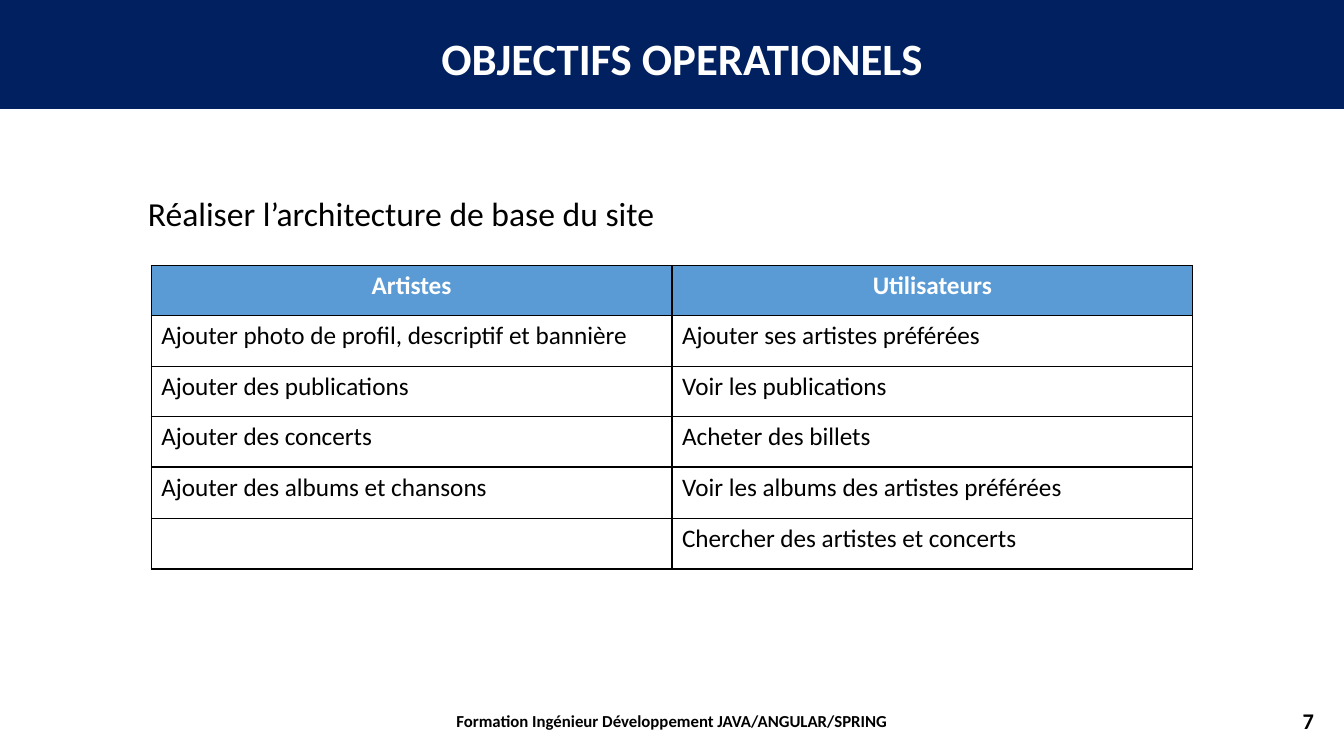
"""Build the slide on operational objectives for artists and users."""
from pptx import Presentation
from pptx.dml.color import RGBColor
from pptx.enum.shapes import MSO_SHAPE
from pptx.enum.text import MSO_ANCHOR, PP_ALIGN
from pptx.oxml import parse_xml
from pptx.oxml.ns import nsdecls
from pptx.util import Pt

NAVY = RGBColor(0x00, 0x20, 0x60)
BLUE = RGBColor(0x5B, 0x9B, 0xD5)
WHITE = RGBColor(0xFF, 0xFF, 0xFF)
BLACK = RGBColor(0x00, 0x00, 0x00)

ROWS = [
    ("Artistes", "Utilisateurs"),
    ("Ajouter photo de profil, descriptif et bannière", "Ajouter ses artistes préférées"),
    ("Ajouter des publications", "Voir les publications"),
    ("Ajouter des concerts", "Acheter des billets"),
    ("Ajouter des albums et chansons", "Voir les albums des artistes préférées"),
    ("", "Chercher des artistes et concerts"),
]


def write(frame, text, size=18, color=BLACK, bold=False, align=PP_ALIGN.LEFT, space=1.0):
    frame.word_wrap = True
    line = frame.paragraphs[0]
    line.alignment = align
    line.line_spacing = space
    line.font.size = Pt(size)
    if text:
        run = line.add_run()
        run.text = text
        font = run.font
        font.name, font.size, font.bold = "Calibri", Pt(size), bold
        font.color.rgb = color


def label(slide, box, text, anchor=MSO_ANCHOR.MIDDLE, **style):
    frame = slide.shapes.add_textbox(*map(Pt, box)).text_frame
    frame.vertical_anchor = anchor
    write(frame, text, **style)


def header(slide, box, title):
    left, top, width, height = box
    band = slide.shapes.add_shape(MSO_SHAPE.RECTANGLE, *map(Pt, box))
    band.shadow.inherit = False
    band.fill.solid()
    band.fill.fore_color.rgb = NAVY
    band.line.color.rgb = NAVY
    band.line.width = Pt(1)
    label(slide, (left + 73.4, top + 22.3, width - 132, 42.5), title,
          size=32, color=WHITE, bold=True, align=PP_ALIGN.CENTER, space=0.9)


def border(cell):
    props = cell._tc.get_or_add_tcPr()
    for spot, side in enumerate("LRTB"):
        props.insert(spot, parse_xml(
            f'<a:ln{side} {nsdecls("a")} w="{Pt(1)}"><a:solidFill>'
            f'<a:srgbClr val="{BLACK}"/></a:solidFill></a:ln{side}>'))


def grid(slide, box, rows):
    table = slide.shapes.add_table(len(rows), len(rows[0]), *map(Pt, box)).table
    table.horz_banding = False
    for r, texts in enumerate(rows):
        head = r == 0
        for c, text in enumerate(texts):
            cell = table.cell(r, c)
            cell.fill.solid()
            cell.fill.fore_color.rgb = BLUE if head else WHITE
            border(cell)
            write(cell.text_frame, text, color=WHITE if head else BLACK, bold=head,
                  align=PP_ALIGN.CENTER if head else PP_ALIGN.LEFT)
    table.rows[4].height = Pt(36.8)


def body(slide, box):
    left, top, width, height = box
    label(slide, (left - 9.4, top, width + 58, 36), "Réaliser l’architecture de base du site",
          anchor=MSO_ANCHOR.TOP, size=24)
    grid(slide, (left, top + 55, width, height - 55), ROWS)


def footer(slide, box, text, page):
    left, top, width, height = box
    label(slide, (left + 318, top, 324, height), text,
          size=12, bold=True, align=PP_ALIGN.CENTER)
    label(slide, (left + width - 230.4, top, 216, height), page,
          size=16, bold=True, align=PP_ALIGN.RIGHT)


def main():
    deck = Presentation()
    deck.slide_width, deck.slide_height = Pt(960), Pt(540)
    slide = deck.slides.add_slide(deck.slide_layouts[6])
    header(slide, (0, 0, 960, 77.5), "OBJECTIFS OPERATIONELS")
    body(slide, (108, 134.6, 744, 271))
    footer(slide, (0, 500.5, 960, 28.8), "Formation Ingénieur Développement JAVA/ANGULAR/SPRING", "7")
    deck.save("out.pptx")


if __name__ == "__main__":
    main()
